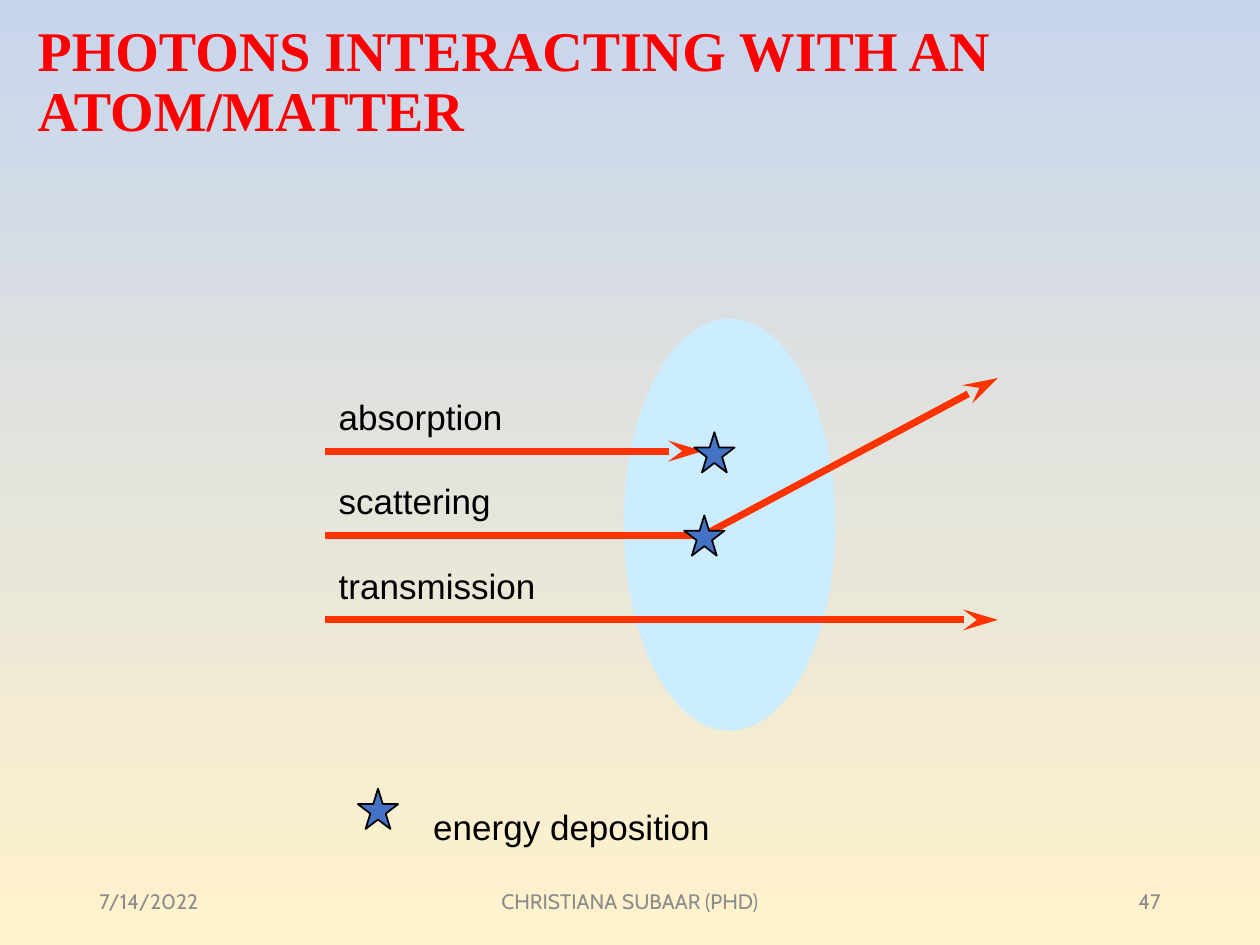
"""Build a slide showing how photons interact with an atom or matter."""
from lxml.etree import SubElement
from pptx import Presentation
from pptx.dml.color import RGBColor
from pptx.enum.shapes import MSO_CONNECTOR, MSO_SHAPE
from pptx.enum.text import MSO_ANCHOR as ANCHOR, MSO_AUTO_SIZE as AUTO, PP_ALIGN as ALIGN
from pptx.oxml.ns import qn
from pptx.util import Inches, Pt

COLORS = {"sky": "C7D5ED", "sand": "FFF2CC", "atom": "CCECFF", "photon": "FF3300",
          "star": "4472C4", "black": "000000", "title": "FF0000", "footer": "8C8C8C"}
TITLE = "PHOTONS INTERACTING WITH AN ATOM/MATTER"
PROCESSES = [("absorption", 1.5), ("scattering", 1.43), ("transmission", 1.77)]
LEGEND = "energy deposition"
FOOTERS = [("7/14/2022", 0.69, 2.25, ALIGN.LEFT),
           ("CHRISTIANA SUBAAR (PHD)", 3.31, 3.38, ALIGN.CENTER),
           ("47", 7.06, 2.25, ALIGN.RIGHT)]

START_X, HIT_X, EXIT_X = 2.58, 5.58, 7.92
ROWS = [3.58 + 0.67 * i for i in range(len(PROCESSES))]
ABSORBED_Y, SCATTERED_Y, TRANSMITTED_Y = ROWS
PHOTONS = [((START_X, ABSORBED_Y), (HIT_X, ABSORBED_Y), True),
           ((START_X, SCATTERED_Y), (HIT_X, SCATTERED_Y), False),
           ((START_X, TRANSMITTED_Y), (EXIT_X, TRANSMITTED_Y), True),
           ((HIT_X, SCATTERED_Y), (EXIT_X, 3), True)]
STAR_SIZE = 0.32
STAR_CENTERS = [(5.67, 3.59), (5.59, 4.25), (3, 6.42)]


def rgb(name):
    return RGBColor.from_string(COLORS[name])


def add_text(slide, text, left, top, width, height, *, size=20, font="Arial", color="black",
             bold=False, align=ALIGN.LEFT, anchor=ANCHOR.TOP, wrap=False, spacing=None):
    box = slide.shapes.add_textbox(Inches(left), Inches(top), Inches(width), Inches(height))
    tf = box.text_frame
    tf.word_wrap = wrap
    tf.auto_size = AUTO.NONE if wrap else AUTO.SHAPE_TO_FIT_TEXT
    tf.vertical_anchor = anchor
    p = tf.paragraphs[0]
    p.alignment = align
    if spacing:
        p.line_spacing = spacing
    r = p.add_run()
    r.text = text
    r.font.size, r.font.name, r.font.bold = Pt(size), font, bold
    r.font.color.rgb = rgb(color)


def add_shape(slide, kind, left, top, width, height, fill, line=None):
    sp = slide.shapes.add_shape(kind, Inches(left), Inches(top), Inches(width), Inches(height))
    sp.shadow.inherit = False
    sp.fill.solid()
    sp.fill.fore_color.rgb = rgb(fill)
    if line:
        sp.line.color.rgb = rgb(line)
        sp.line.width = Pt(1)
    else:
        sp.line.fill.background()


def add_photon(slide, begin, end, arrow):
    points = [Inches(v) for v in (*begin, *end)]
    cxn = slide.shapes.add_connector(MSO_CONNECTOR.STRAIGHT, *points)
    cxn.line.color.rgb = rgb("photon")
    cxn.line.width = Pt(4)
    if arrow:
        SubElement(cxn.line._get_or_add_ln(), qn("a:tailEnd"), type="stealth", len="lg")
    SubElement(cxn._element.spPr, qn("a:effectLst"))


def set_background(slide):
    fill = slide.background.fill
    fill.gradient()
    fill.gradient_angle = 270
    for stop, (name, position) in zip(fill.gradient_stops, [("sky", 0), ("sand", 0.98)]):
        stop.color.rgb = rgb(name)
        stop.position = position


def main():
    prs = Presentation()
    prs.slide_width, prs.slide_height = Inches(10), Inches(7.5)
    s = prs.slides.add_slide(prs.slide_layouts[6])
    set_background(s)
    add_shape(s, MSO_SHAPE.OVAL, 4.95, 2.53, 1.68, 3.27, "atom")
    for photon in PHOTONS:
        add_photon(s, *photon)
    for x, y in STAR_CENTERS:
        add_shape(s, MSO_SHAPE.STAR_5_POINT, x - STAR_SIZE / 2, y - STAR_SIZE / 2,
                  STAR_SIZE, STAR_SIZE, "star", "black")
    for (label, width), y in zip(PROCESSES, ROWS):
        add_text(s, label, 2.59, y - 0.49, width, 0.43)
    add_text(s, LEGEND, 3.34, 6.34, 2.43, 0.43)
    add_text(s, TITLE, 0.2, 0.07, 9.38, 1.18, size=32, font="Times New Roman", color="title",
             bold=True, anchor=ANCHOR.MIDDLE, wrap=True, spacing=0.9)
    for text, left, width, align in FOOTERS:
        add_text(s, text, left, 6.95, width, 0.4, size=12, font="Cabin", color="footer",
                 align=align, anchor=ANCHOR.MIDDLE, wrap=True)
    prs.save("out.pptx")


if __name__ == "__main__":
    main()
